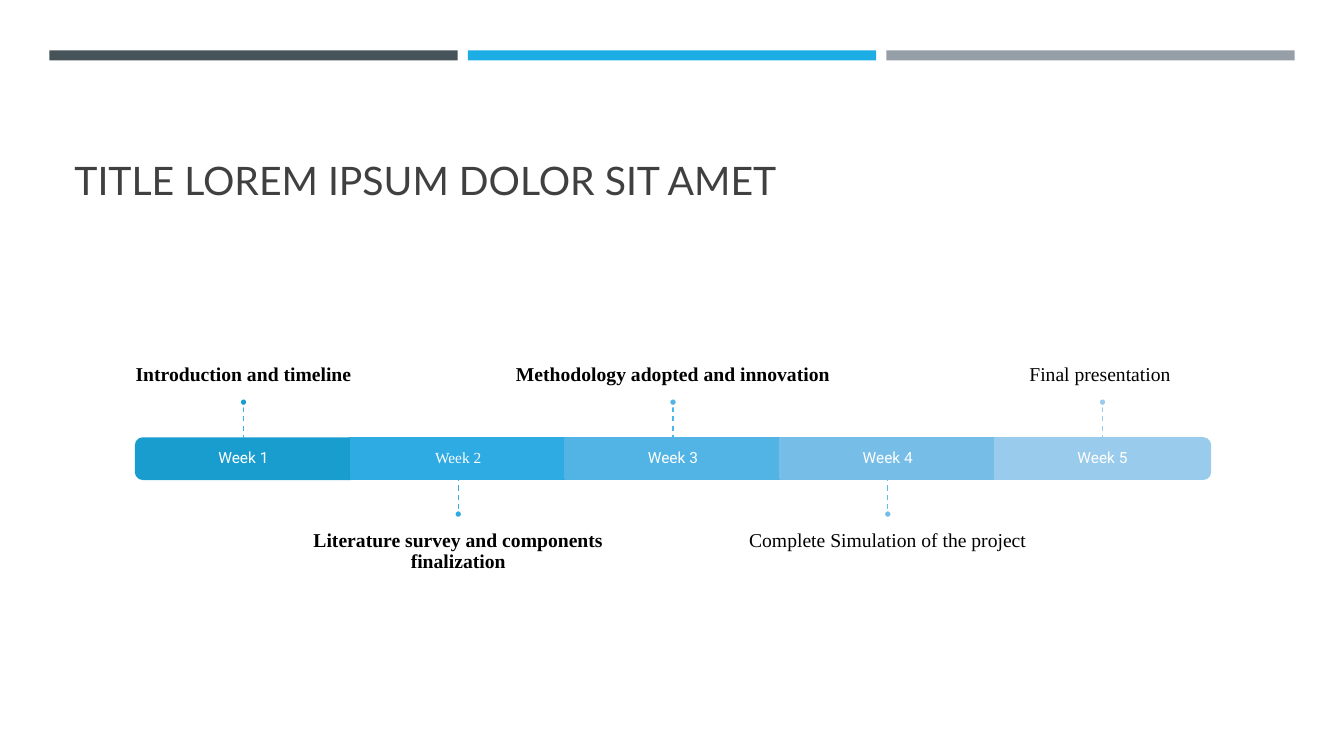
from pptx import Presentation
from pptx.dml.color import RGBColor
from pptx.enum.dml import MSO_LINE
from pptx.enum.shapes import MSO_CONNECTOR, MSO_SHAPE
from pptx.enum.text import MSO_ANCHOR as ANCHOR, PP_ALIGN as ALIGN
from pptx.oxml.ns import qn
from pptx.util import Inches, Pt
from lxml.etree import SubElement


def color(code):
    return RGBColor.from_string(code)


class TimelineSlide:
    serif = "Times New Roman"
    sans = "Roboto"
    heading = "Lato"

    def __init__(self, slide):
        self.shapes = slide.shapes

    def block(self, kind, left, top, width, height, fill, line=None, rotation=0):
        block = self.shapes.add_shape(
            kind, Inches(left), Inches(top), Inches(width), Inches(height))
        block.shadow.inherit = False
        block.rotation = rotation
        block.fill.solid()
        block.fill.fore_color.rgb = color(fill)
        if line:
            block.line.color.rgb = color(line)
            block.line.width = Pt(1.75)
        else:
            block.line.fill.background()
        return block

    def text(self, wording, left, top, width, height, font, size, ink,
             bold=False, anchor=ANCHOR.MIDDLE, align=ALIGN.CENTER,
             insets=(0.1, 0.05, 0.1, 0.05)):
        frame = self.shapes.add_textbox(
            Inches(left), Inches(top), Inches(width), Inches(height)).text_frame
        frame.word_wrap = True
        frame.vertical_anchor = anchor
        (frame.margin_left, frame.margin_top,
         frame.margin_right, frame.margin_bottom) = map(Inches, insets)
        paragraph = frame.paragraphs[0]
        paragraph.alignment = align
        paragraph.line_spacing = 0.9
        run = paragraph.add_run()
        run.text = wording
        run.font.name = font
        run.font.size = Pt(size)
        run.font.bold = bold
        run.font.color.rgb = color(ink)

    def stem(self, x, start, end, ink, week_bar=None, side=0):
        stem = self.shapes.add_connector(
            MSO_CONNECTOR.STRAIGHT, Inches(x), Inches(start), Inches(x), Inches(end))
        stem.line.color.rgb = color(ink)
        stem.line.width = Pt(1)
        stem.line.dash_style = MSO_LINE.DASH
        SubElement(stem._element.spPr, qn("a:effectLst"))
        if week_bar is not None:
            stem.end_connect(week_bar, side)


WEEKS = [
    ("Introduction and timeline", True, "199DCF", "36B3E9"),
    ("Literature survey and components finalization", True, "2DABE2", "35AEE3"),
    ("Methodology adopted and innovation", True, "52B3E5", "48B8EC"),
    ("Complete Simulation of the project", False, "76BEE8", "5ABEEF"),
    ("Final presentation ", False, "99CBEC", "98CBEC"),
]
BAR_LEFT, BAR_TOP, BAR_WIDTH, BAR_HEIGHT = 1.35, 4.35, 2.13, 0.4
BAR_BOTTOM = BAR_TOP + BAR_HEIGHT
LABEL_WIDTH, LABEL_HEIGHT = 3.55, 1.39
DOT = 0.08
END_ROTATIONS = {0: 270, len(WEEKS) - 1: 90}


def main():
    deck = Presentation()
    deck.slide_width, deck.slide_height = Inches(13.33), Inches(7.5)
    page = TimelineSlide(deck.slides.add_slide(deck.slide_layouts[6]))

    for position, fill in enumerate(("465359", "1CADE4", "969FA7")):
        page.block(MSO_SHAPE.RECTANGLE, 0.49 + 4.15 * position, 0.5, 4.05, 0.1, fill)
    page.text("TITLE LOREM IPSUM DOLOR SIT AMET", 0.64, 0.77, 12.06, 1.3,
              page.heading, 28, "404040", anchor=ANCHOR.BOTTOM, align=ALIGN.LEFT)

    for index, (task, bold, fill, stem_ink) in enumerate(WEEKS):
        left = BAR_LEFT + BAR_WIDTH * index
        center = left + BAR_WIDTH / 2
        above = index % 2 == 0

        if index in END_ROTATIONS:
            page.block(MSO_SHAPE.ROUND_2_SAME_RECTANGLE,
                       center - BAR_HEIGHT / 2,
                       BAR_TOP + (BAR_HEIGHT - BAR_WIDTH) / 2,
                       BAR_HEIGHT, BAR_WIDTH, fill, fill, END_ROTATIONS[index])
            week_bar = None
        else:
            week_bar = page.block(MSO_SHAPE.RECTANGLE, left, BAR_TOP,
                                  BAR_WIDTH, BAR_HEIGHT, fill, fill)
        page.text(f"Week {index + 1}", left, BAR_TOP, BAR_WIDTH, BAR_HEIGHT,
                  page.serif if index == 1 else page.sans, 11, "FFFFFF",
                  insets=(0.09,) * 4)

        if above:
            label_top, anchor, insets = 2.56, ANCHOR.BOTTOM, (0, 0, 0, 0.12)
            stem_start, stem_end, side, dot_top = 4.03, BAR_TOP, 0, 3.95
        else:
            label_top, anchor, insets = 5.14, ANCHOR.TOP, (0, 0.12, 0, 0)
            stem_start, stem_end, side, dot_top = 5.06, BAR_BOTTOM, 2, 5.06
        page.text(task, center - LABEL_WIDTH / 2, label_top, LABEL_WIDTH,
                  LABEL_HEIGHT, page.serif, 14, "000000", bold, anchor,
                  insets=insets)
        page.stem(center, stem_start, stem_end, stem_ink, week_bar, side)
        page.block(MSO_SHAPE.OVAL, center - DOT / 2, dot_top, DOT, DOT,
                   fill, "FFFFFF")

    deck.save("out.pptx")


if __name__ == "__main__":
    main()
